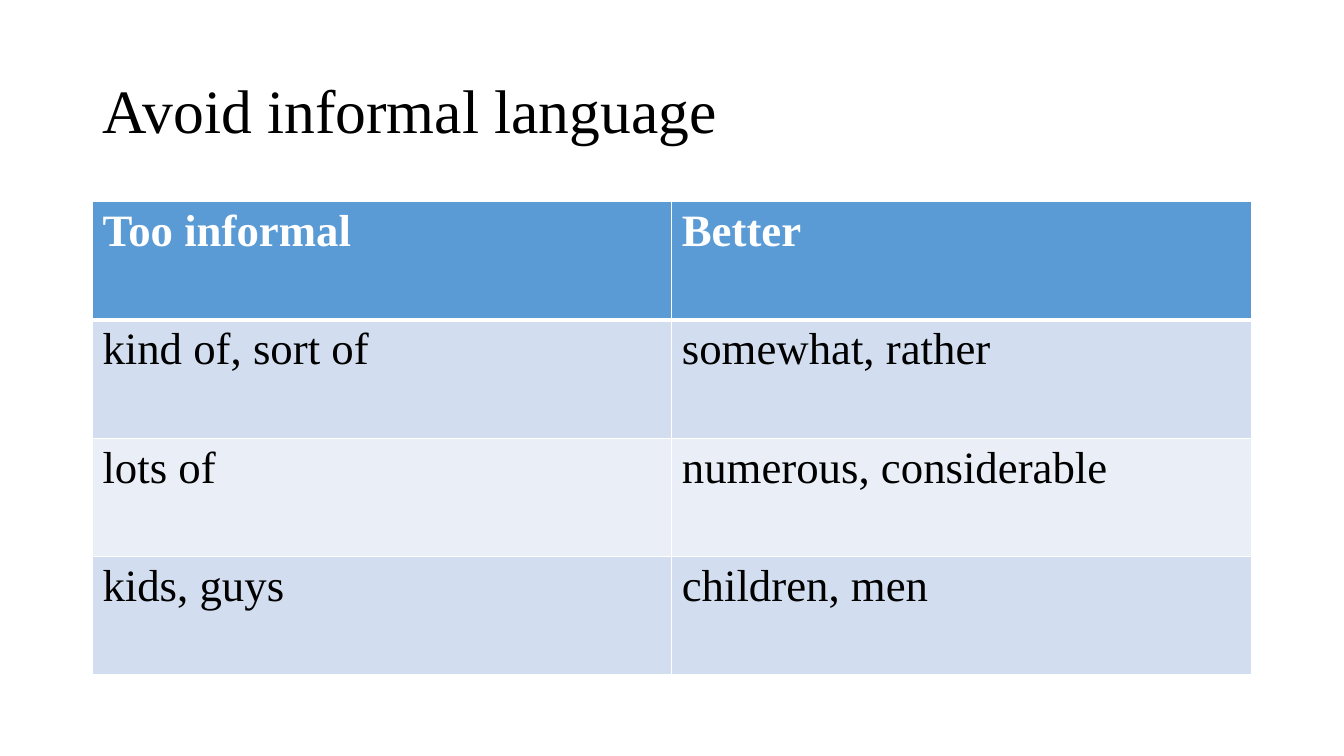
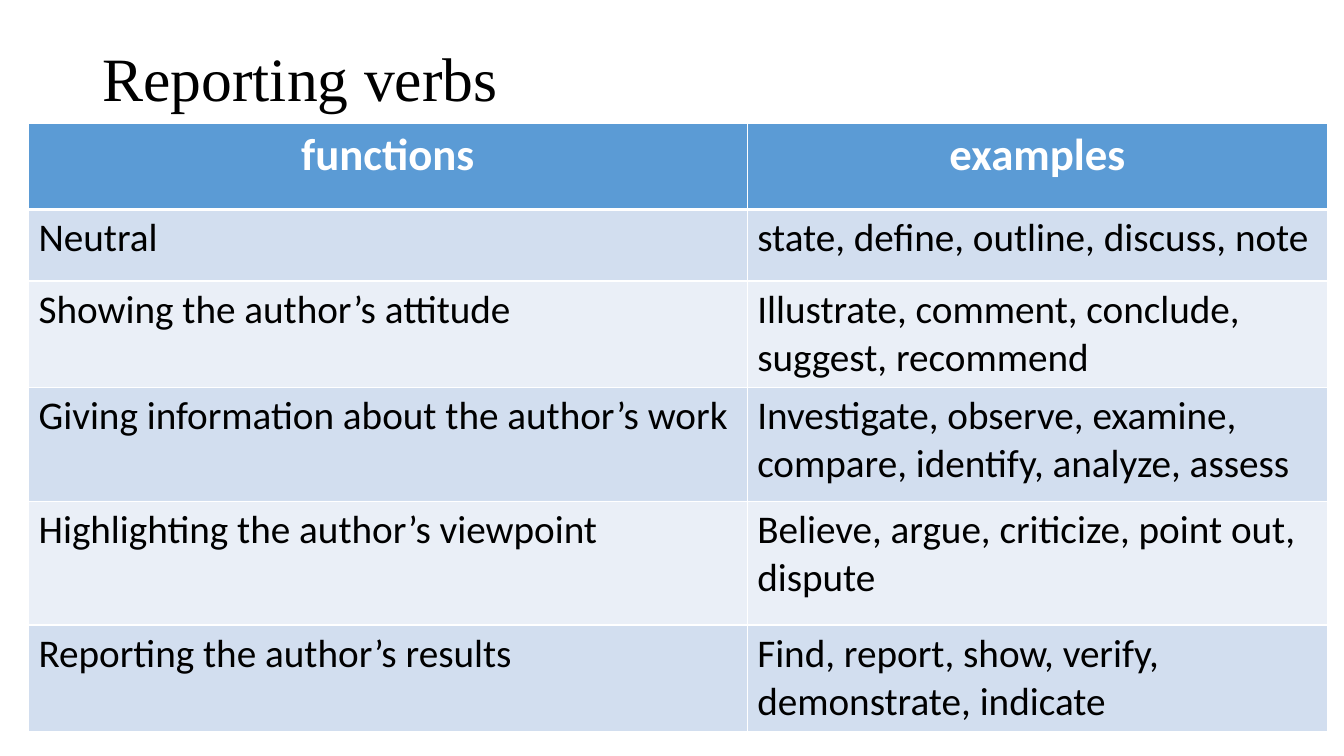
from lxml.etree import SubElement
from pptx import Presentation
from pptx.dml.color import RGBColor
from pptx.enum.text import MSO_ANCHOR, PP_ALIGN
from pptx.oxml.ns import qn
from pptx.util import Cm, Pt

BLACK = RGBColor(0x00, 0x00, 0x00)
WHITE = RGBColor(0xFF, 0xFF, 0xFF)
HEADER_BLUE = RGBColor(0x5B, 0x9B, 0xD5)
BAND_DARK = RGBColor(0xD2, 0xDE, 0xEF)
BAND_LIGHT = RGBColor(0xEA, 0xEF, 0xF7)
SERIF = "Times New Roman"
SANS = "Calibri"
TITLE_ONLY = 5

INFORMAL_ROWS = [
    ("Too informal", "Better"),
    ("kind of, sort of", "somewhat, rather"),
    ("lots of", "numerous, considerable"),
    ("kids, guys", "children, men"),
]
VERB_ROWS = [
    ("functions", "examples"),
    ("Neutral", "state, define, outline, discuss, note"),
    ("Showing the author’s attitude",
     "Illustrate, comment, conclude, suggest, recommend"),
    ("Giving information about the author’s work",
     "Investigate, observe, examine, compare, identify, analyze, assess"),
    ("Highlighting the author’s viewpoint",
     "Believe, argue, criticize, point out, dispute"),
    ("Reporting the author’s results",
     "Find, report, show, verify, demonstrate, indicate"),
]


def add_text(frame, text, font, size, color, bold=False, align=PP_ALIGN.LEFT):
    para = frame.paragraphs[0]
    para.alignment = align
    span = para.add_run()
    span.text = text
    span.font.name = font
    span.font.size = Pt(size)
    span.font.bold = bold
    span.font.color.rgb = color
    return para


def set_title(page, text, height):
    title = page.shapes.title
    title.left, title.top = Cm(2.33), Cm(1.01)
    title.width, title.height = Cm(29.21), Cm(height)
    title.text_frame.vertical_anchor = MSO_ANCHOR.MIDDLE
    para = add_text(title.text_frame, text, SERIF, 44, BLACK)
    para.line_spacing = 0.9


def set_borders(cell, row):
    properties = cell._tc.get_or_add_tcPr()
    widths = {
        "a:lnL": 1,
        "a:lnR": 1,
        "a:lnT": 3 if row == 1 else 1,
        "a:lnB": 3 if row == 0 else 1,
    }
    for tag, width in widths.items():
        line = SubElement(properties, qn(tag), w=str(Pt(width)))
        fill = SubElement(line, qn("a:solidFill"))
        SubElement(fill, qn("a:srgbClr"), val=str(WHITE))


def add_banded_table(page, rows, left, top, widths, heights, font,
                     body_size, header_align):
    frame = page.shapes.add_table(
        len(rows), len(widths), Cm(left), Cm(top),
        Cm(sum(widths)), Cm(sum(heights)))
    table = frame.table
    for column, width in zip(table.columns, widths):
        column.width = Cm(width)
    for row, height in zip(table.rows, heights):
        row.height = Cm(height)
    for index, texts in enumerate(rows):
        for column, text in enumerate(texts):
            cell = table.cell(index, column)
            set_borders(cell, index)
            cell.fill.solid()
            if index == 0:
                cell.fill.fore_color.rgb = HEADER_BLUE
                add_text(cell.text_frame, text, font, 32, WHITE, True,
                         header_align)
            else:
                band = BAND_DARK if index % 2 else BAND_LIGHT
                cell.fill.fore_color.rgb = band
                add_text(cell.text_frame, text, font, body_size, BLACK)


def add_page(deck, title, title_height, **table):
    page = deck.slides.add_slide(deck.slide_layouts[TITLE_ONLY])
    set_title(page, title, title_height)
    add_banded_table(page, **table)


def main():
    deck = Presentation()
    deck.slide_width, deck.slide_height = Cm(33.87), Cm(19.05)
    add_page(deck, "Avoid informal language", 3.68,
             rows=INFORMAL_ROWS, left=2.33, top=5.08,
             widths=[14.6] * 2, heights=[2.98] * 4,
             font=SERIF, body_size=32, header_align=PP_ALIGN.LEFT)
    add_page(deck, "Reporting verbs", 2.08,
             rows=VERB_ROWS, left=0.72, top=3.1,
             widths=[18.11, 14.63],
             heights=[2.18, 1.8, 2.68, 2.87, 3.12, 2.68],
             font=SANS, body_size=28, header_align=PP_ALIGN.CENTER)
    deck.save("out.pptx")


if __name__ == "__main__":
    main()
